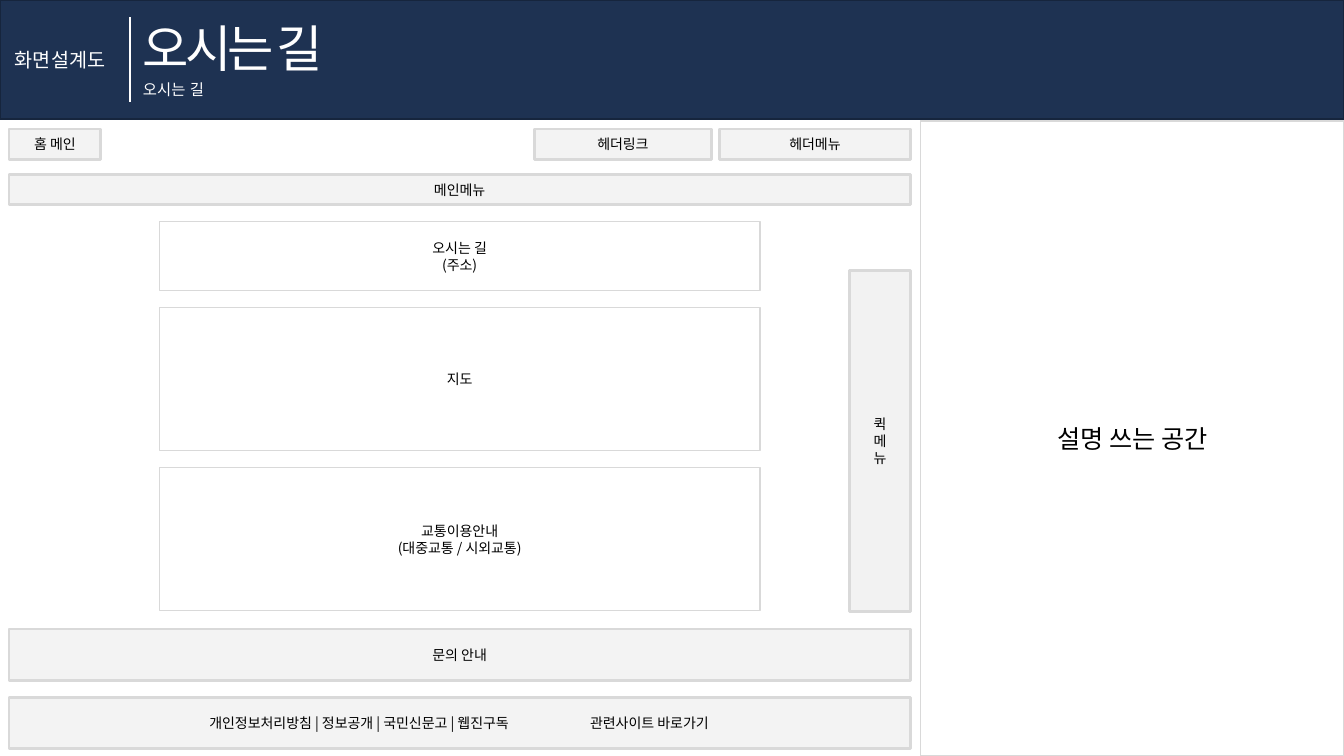
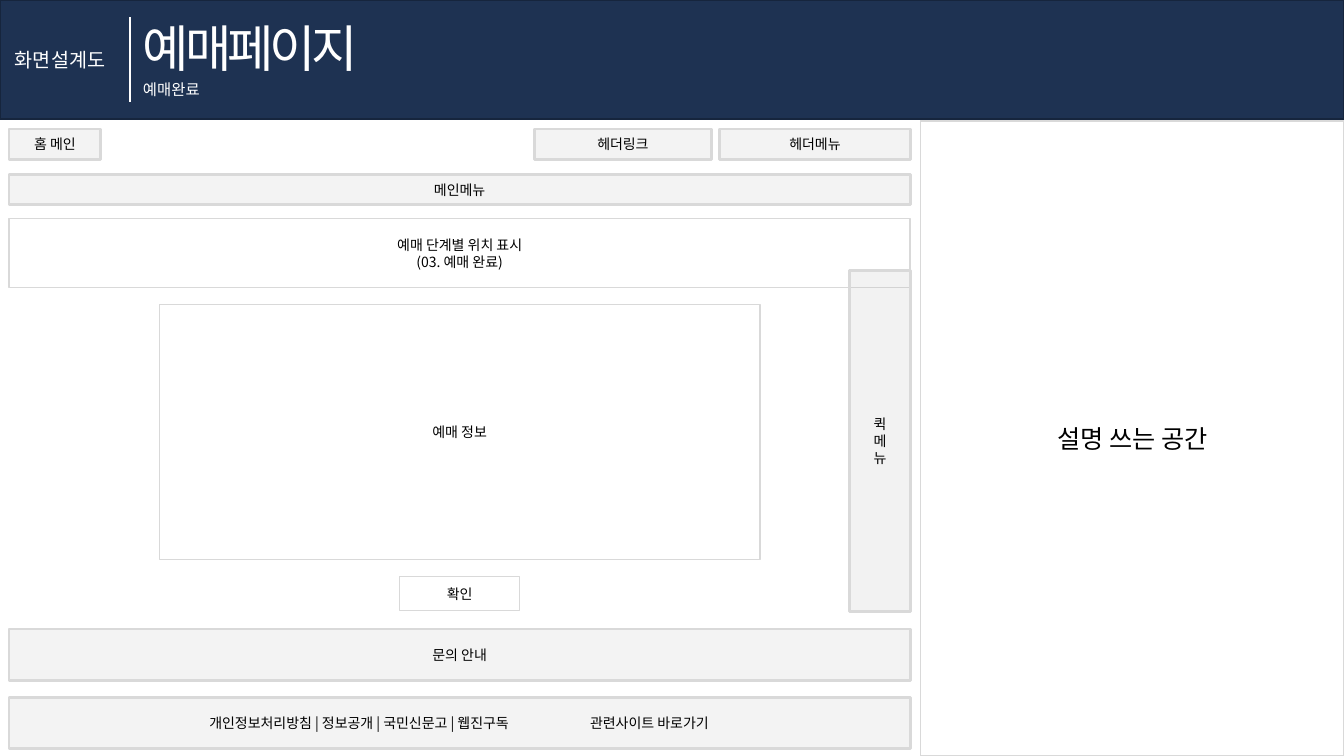
from collections import namedtuple

from lxml import etree
from pptx import Presentation
from pptx.dml.color import RGBColor
from pptx.enum.shapes import MSO_CONNECTOR, MSO_SHAPE
from pptx.enum.text import MSO_ANCHOR, MSO_AUTO_SIZE, PP_ALIGN
from pptx.oxml.ns import qn
from pptx.util import Pt

RECTANGLE = MSO_SHAPE.RECTANGLE
STRAIGHT = MSO_CONNECTOR.STRAIGHT
MIDDLE = MSO_ANCHOR.MIDDLE
FIT_SHAPE = MSO_AUTO_SIZE.SHAPE_TO_FIT_TEXT
CENTER = PP_ALIGN.CENTER
LEFT = PP_ALIGN.LEFT

COLORS = {
    "navy": "1E3252",
    "navy_edge": "16253D",
    "white": "FFFFFF",
    "black": "000000",
    "gray": "D9D9D9",
    "dark_gray": "BFBFBF",
}
KOREAN_FONT = "Noto Sans CJK KR"
LATIN_FONT = "Arial"
LINE_HEIGHT = 1.22

Box = namedtuple("Box", "left top width height")
Panel = namedtuple("Panel", "lines width height")

HEADER = Box(0, 0, 960, 85)
WIREFRAME = Box(6.5, 92.2, 643.7, 442.7)
NOTES = Box(657.4, 86.4, 302.6, 453.6)
PANEL_WIDTH = 429
PANEL_GAP = 12.2


def color(name):
    return RGBColor.from_string(COLORS[name])


def lengths(box):
    return [Pt(value) for value in box]


def write(para, text, size, ink="black", font=KOREAN_FONT, spacing=0):
    para.line_spacing = Pt(round(size * LINE_HEIGHT, 1))
    span = para.add_run()
    span.text = text
    span.font.size = Pt(size)
    span.font.name = font
    span.font.color.rgb = color(ink)
    properties = span._r.get_or_add_rPr()
    etree.SubElement(properties, qn("a:ea")).set("typeface", font)
    if spacing:
        properties.set("spc", str(spacing * 100))


def add_block(page, box, lines=(), size=10, fill="white", edge="gray", edge_width=1, opacity=100):
    shape = page.shapes.add_shape(RECTANGLE, *lengths(box))
    shape.shadow.inherit = False
    shape.fill.solid()
    shape.fill.fore_color.rgb = color(fill)
    if opacity < 100:
        tint = shape.fill._xPr.find(qn("a:solidFill"))[0]
        etree.SubElement(tint, qn("a:alpha")).set("val", str(opacity * 1000))
    shape.line.color.rgb = color(edge)
    shape.line.width = Pt(edge_width)
    frame = shape.text_frame
    frame.word_wrap = True
    frame.vertical_anchor = MIDDLE
    for index, line in enumerate(lines):
        para = frame.add_paragraph() if index else frame.paragraphs[0]
        para.alignment = CENTER
        write(para, line, size)
    return shape


def add_bar(page, box, lines=()):
    return add_block(page, box, lines, fill="gray", edge_width=2, opacity=30)


def add_label(page, box, text, size, font=KOREAN_FONT, spacing=0):
    frame = page.shapes.add_textbox(*lengths(box)).text_frame
    frame.word_wrap = False
    frame.auto_size = FIT_SHAPE
    write(frame.paragraphs[0], text, size, "white", font, spacing)


def add_header(page, box, title, title_width, subtitle):
    left, top = box.left, box.top
    add_block(page, box, fill="navy", edge="navy_edge")
    add_label(page, Box(left + 95, top + 7.9, title_width, 51.1), title, 36, spacing=-3)
    add_label(page, Box(left + 3.6, top + 30.2, 85, 24.5), "화면설계도", 14)
    rule_left = Pt(left + 92.9)
    rule = page.shapes.add_connector(STRAIGHT, rule_left, Pt(top + 12.2), rule_left, Pt(top + 72.7))
    rule.line.color.rgb = color("white")
    rule.line.width = Pt(1.5)
    etree.SubElement(rule._element.spPr, qn("a:effectLst"))
    add_label(page, Box(left + 95, top + 53.3, 60, 20.9), subtitle, 11, LATIN_FONT)


def add_menus(page, box):
    right = box.left + box.width
    add_bar(page, Box(box.left, box.top, 65.5, 21.6), ["홈 메인"])
    add_bar(page, Box(right - 136.1, box.top, 136.1, 21.6), ["헤더메뉴"])
    add_bar(page, Box(right - 268.6, box.top, 126.7, 21.6), ["헤더링크"])
    add_bar(page, Box(box.left, box.top + 32.4, box.width, 21.6), ["메인메뉴"])


def add_panels(page, box, offset, panels):
    top = box.top + offset
    for panel in panels:
        left = box.left + (box.width - panel.width) / 2
        add_block(page, Box(left, top, panel.width, panel.height), panel.lines)
        top += panel.height + PANEL_GAP


def add_quick_menu(page, box):
    place = Box(box.left + box.width - 43.2, box.top + 100.8, 43.2, 244.1)
    add_block(page, place, "퀵메뉴", fill="dark_gray", edge_width=2, opacity=20)


def add_footer(page, box):
    height = 36.7
    bottom = box.top + box.height
    add_bar(page, Box(box.left, bottom - 85.6, box.width, height), ["문의 안내"])
    frame = add_bar(page, Box(box.left, bottom - height, box.width, height)).text_frame
    frame.margin_left = Pt(143)
    para = frame.paragraphs[0]
    para.alignment = LEFT
    tabs = etree.SubElement(para._p.get_or_add_pPr(), qn("a:tabLst"))
    etree.SubElement(tabs, qn("a:tab"), pos=str(Pt(272)), algn="l")
    write(para, "개인정보처리방침 | 정보공개 | 국민신문고 | 웹진구독\t관련사이트 바로가기", 10)


def add_screen(deck, title, title_width, subtitle, offset, panels):
    page = deck.slides.add_slide(deck.slide_layouts[6])
    add_header(page, HEADER, title, title_width, subtitle)
    add_block(page, NOTES, ["설명 쓰는 공간"], size=18)
    add_menus(page, WIREFRAME)
    add_panels(page, WIREFRAME, offset, panels)
    add_footer(page, WIREFRAME)
    add_quick_menu(page, WIREFRAME)


def main():
    deck = Presentation()
    deck.slide_width = Pt(960)
    deck.slide_height = Pt(540)
    add_screen(deck, "오시는 길", 157.7, "오시는 길", 66.2, [
        Panel(["오시는 길", "(주소)"], PANEL_WIDTH, 49),
        Panel(["지도"], PANEL_WIDTH, 102.2),
        Panel(["교통이용안내", "(대중교통 / 시외교통)"], PANEL_WIDTH, 102.2),
    ])
    add_screen(deck, "예매페이지", 181.4, "예매완료", 64, [
        Panel(["예매 단계별 위치 표시", "(03. 예매 완료)"], WIREFRAME.width, 49),
        Panel(["예매 정보"], PANEL_WIDTH, 182.2),
        Panel(["확인"], 85.7, 24.5),
    ])
    deck.save("out.pptx")


if __name__ == "__main__":
    main()
